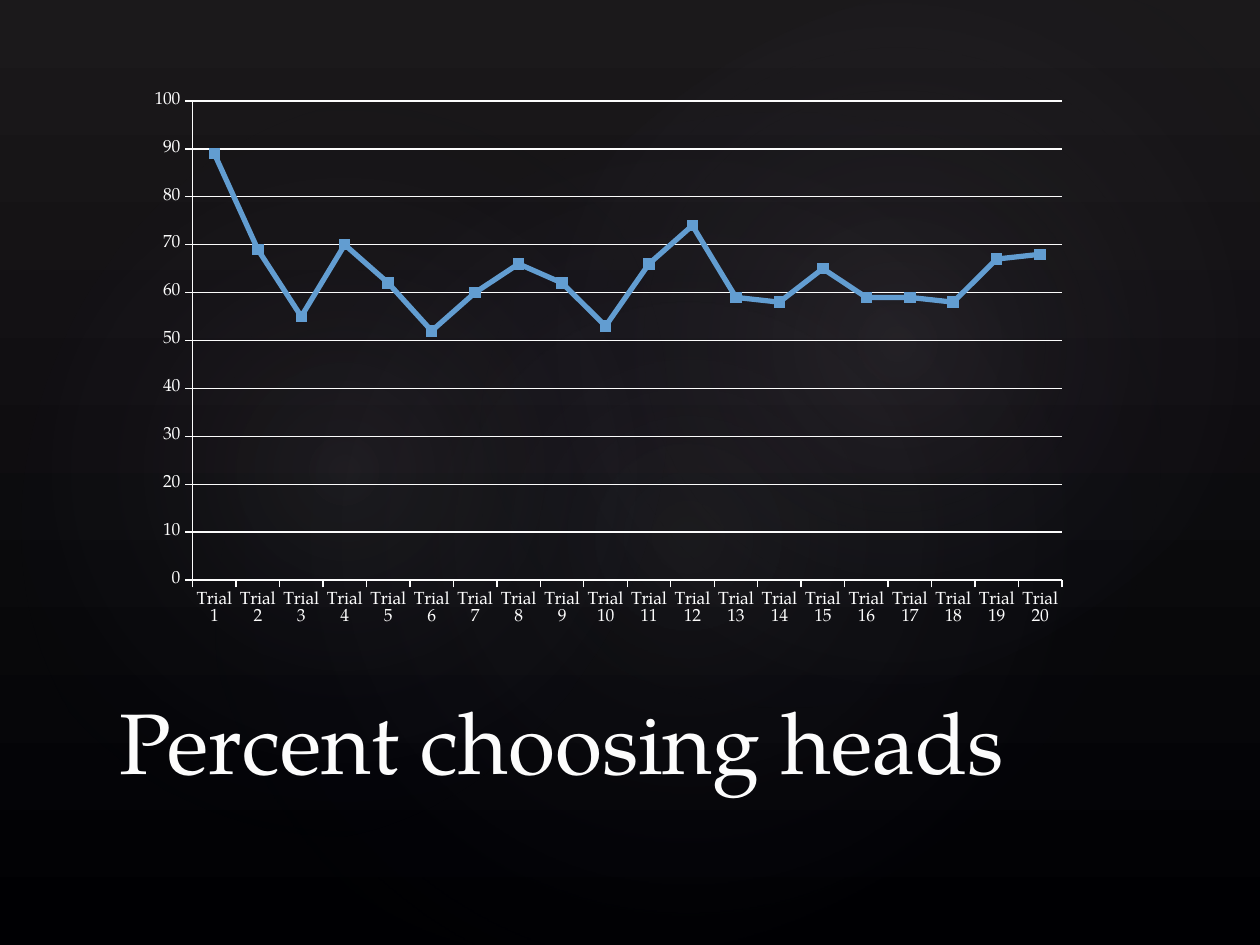
"""Build a slide with a line chart of the percentage choosing heads over twenty trials."""
from dataclasses import dataclass

from lxml.etree import SubElement
from pptx import Presentation
from pptx.chart.data import CategoryChartData
from pptx.dml.color import RGBColor as Rgb
from pptx.enum.chart import XL_CHART_TYPE as ChartType, XL_MARKER_STYLE as Marker, XL_TICK_MARK as Tick
from pptx.enum.shapes import MSO_SHAPE as Shape
from pptx.enum.text import MSO_ANCHOR as Anchor, MSO_AUTO_SIZE as AutoSize, PP_ALIGN as Align
from pptx.oxml import parse_xml
from pptx.oxml.ns import nsdecls, qn
from pptx.util import Cm, Pt


@dataclass(frozen=True)
class Theme:
    font: str = "TeX Gyre Pagella"
    text: str = "FCFCFC"
    series: str = "629DD1"
    top: str = "1B191B"
    bottom: str = "000003"
    glow: str = "C4BCC6"
    glow_edge: str = "242852"
    title_size: int = 49
    chart_size: int = 10


THEME = Theme()
TITLE = "Percent choosing heads"
PERCENTAGES = [89, 69, 55, 70, 62, 52, 60, 66, 62, 53, 66, 74, 59, 58, 65, 59, 59, 58, 67, 68]
TRIALS = [f"Trial {number}" for number in range(1, len(PERCENTAGES) + 1)]
PAGE_SIZE = (25.4, 19.05)
TITLE_BOX = (2.16, 13.54, 20.96, 2.54)
CHART_BOX = (2.74, 1.7, 19.05, 11.23)
PLOT_AREA = {"x": 0.06, "y": 0.03, "w": 0.92, "h": 0.86}
GLOWS = [
    ((3.81, 2.9, 20.12, 15.85), 328.7, 7),
    ((-0.76, 3.25, 15.39, 12.45), 294.3, 8),
    ((9.09, 0.33, 18.01, 13.21), 328.7, 8),
]


def lengths(values):
    return [Cm(value) for value in values]


def set_gradient(fill, colors):
    fill.gradient()
    for stop, color in zip(fill.gradient_stops, colors):
        stop.color.rgb = Rgb.from_string(color)


def add_glow(page, box, rotation, opacity):
    glow = page.shapes.add_shape(Shape.OVAL, *lengths(box))
    glow.rotation = rotation
    glow.shadow.inherit = False
    glow.line.fill.background()
    set_gradient(glow.fill, (THEME.glow, THEME.glow_edge))
    glow.fill.gradient_stops[1].position = 0.58
    gradient = glow._element.spPr.find(qn("a:gradFill"))
    for color, alpha in zip(gradient.iter(qn("a:srgbClr")), (opacity, 0)):
        SubElement(color, qn("a:alpha"), val=str(alpha * 1000))
    radial = parse_xml(
        f'<a:path {nsdecls("a")} path="circle">'
        '<a:fillToRect l="50000" t="50000" r="50000" b="50000"/></a:path>'
    )
    gradient.replace(gradient.find(qn("a:lin")), radial)


def format_font(font, *, size, color=THEME.text, name=THEME.font):
    font.name = name
    font.size = Pt(size)
    font.bold = False
    font.color.rgb = Rgb.from_string(color)


def write_text(box, text, *, align=Align.LEFT, anchor=Anchor.BOTTOM, **font_format):
    frame = box.text_frame
    frame.word_wrap = True
    frame.auto_size = AutoSize.NONE
    frame.vertical_anchor = anchor
    para = frame.paragraphs[0]
    para.alignment = align
    span = para.add_run()
    span.text = text
    format_font(span.font, **font_format)


def draw_line(line, color, width):
    line.color.rgb = Rgb.from_string(color)
    line.width = Pt(width)


def place_plot(chart):
    plot_area = chart._chartSpace.chart.plotArea
    for layout in plot_area.findall(qn("c:layout")):
        plot_area.remove(layout)
    settings = {"layoutTarget": "inner", "xMode": "edge", "yMode": "edge", **PLOT_AREA}
    items = "".join(f'<c:{key} val="{value}"/>' for key, value in settings.items())
    plot_area.insert(0, parse_xml(
        f'<c:layout {nsdecls("c")}><c:manualLayout>{items}</c:manualLayout></c:layout>'
    ))


def add_trial_chart(page):
    data = CategoryChartData()
    data.categories = TRIALS
    data.add_series("Series 1", PERCENTAGES)
    chart = page.shapes.add_chart(ChartType.LINE_MARKERS, *lengths(CHART_BOX), data).chart
    chart.has_legend = False
    chart.has_title = False
    format_font(chart.font, size=THEME.chart_size)
    place_plot(chart)

    for axis in (chart.category_axis, chart.value_axis):
        axis.major_tick_mark = Tick.OUTSIDE
        axis.minor_tick_mark = Tick.NONE
        draw_line(axis.format.line, THEME.text, 0.75)
    values = chart.value_axis
    values.minimum_scale, values.maximum_scale, values.major_unit = 0, 100, 10
    values.has_major_gridlines = True
    draw_line(values.major_gridlines.format.line, THEME.text, 0.75)

    chart.plots[0].vary_by_categories = False
    series = chart.plots[0].series[0]
    series.smooth = False
    draw_line(series.format.line, THEME.series, 3)
    series.marker.style = Marker.SQUARE
    series.marker.size = 6
    series.marker.format.fill.solid()
    series.marker.format.fill.fore_color.rgb = Rgb.from_string(THEME.series)
    series.marker.format.line.fill.background()


def main():
    deck = Presentation()
    deck.slide_width, deck.slide_height = lengths(PAGE_SIZE)
    page = deck.slides.add_slide(deck.slide_layouts[5])
    background = page.background.fill
    set_gradient(background, (THEME.top, THEME.bottom))
    background.gradient_angle = 270
    for box, rotation, opacity in GLOWS:
        add_glow(page, box, rotation, opacity)

    title = page.shapes.title
    title.left, title.top, title.width, title.height = lengths(TITLE_BOX)
    write_text(title, TITLE, size=THEME.title_size)
    page.shapes._spTree.append(title._element)
    add_trial_chart(page)
    deck.save("out.pptx")


if __name__ == "__main__":
    main()
